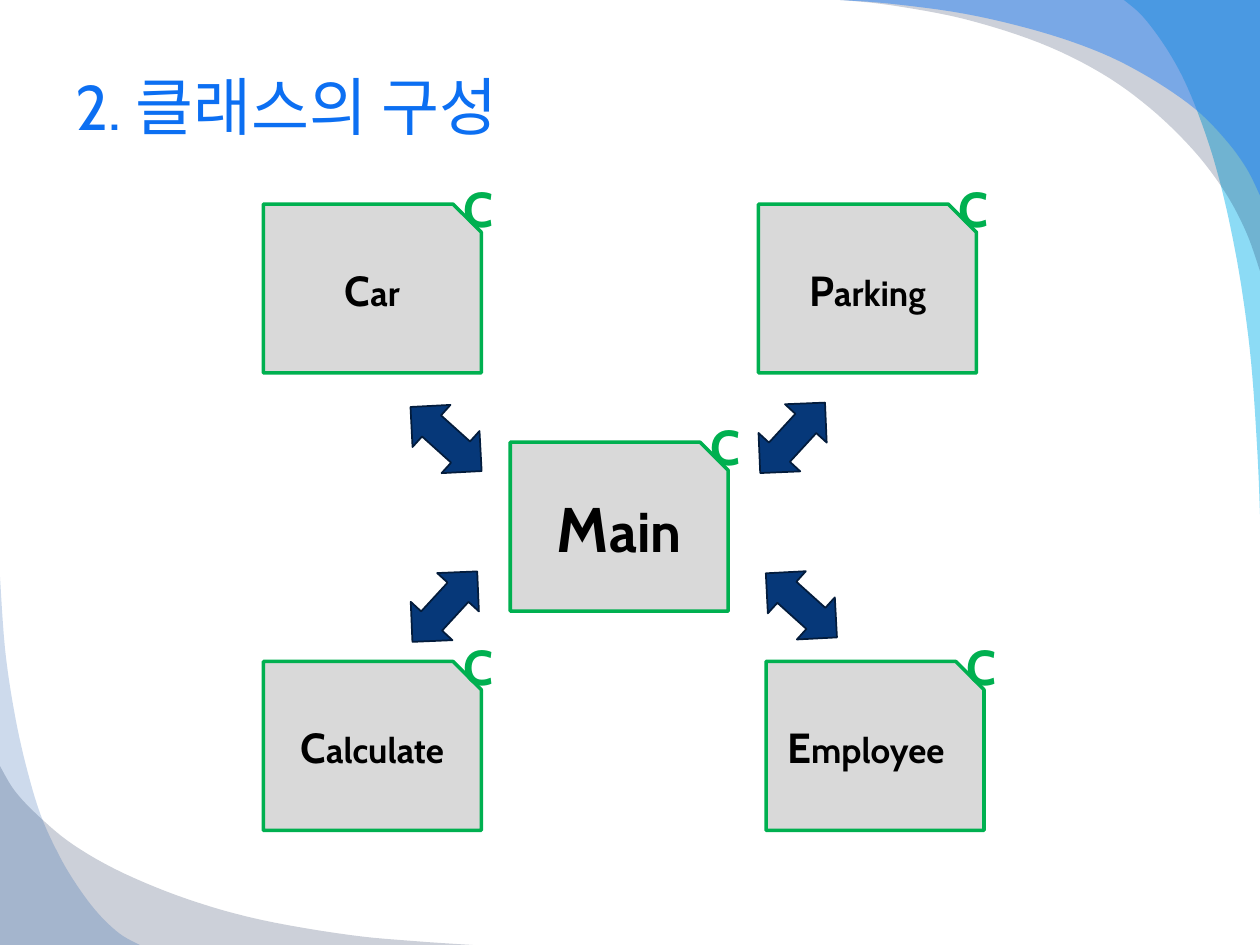
import pptx
import pptx.dml.color
import pptx.enum.shapes
import pptx.enum.text
import pptx.oxml
import pptx.oxml.ns
import pptx.util
from pptx.util import Inches

RGBColor = pptx.dml.color.RGBColor
MSO_SHAPE = pptx.enum.shapes.MSO_SHAPE
PP_ALIGN = pptx.enum.text.PP_ALIGN
MSO_ANCHOR = pptx.enum.text.MSO_ANCHOR

FONT = "Cabin"
TITLE_BLUE = RGBColor(0x0C, 0x6F, 0xF2)
CARD_GRAY = RGBColor(0xD9, 0xD9, 0xD9)
GREEN = RGBColor(0x00, 0xB0, 0x50)
ARROW_BLUE = RGBColor(0x06, 0x38, 0x79)
ARROW_EDGE = RGBColor(0x03, 0x1C, 0x3C)
BLACK = RGBColor(0, 0, 0)
CYAN = RGBColor(0x00, 0xB1, 0xE9)
NAVY = RGBColor(0x02, 0x17, 0x41)
SKY = RGBColor(0x24, 0x7F, 0xF4)
ROYAL = RGBColor(0x08, 0x4A, 0xA1)

CARD_W, CARD_H = 1.73, 1.34
ARROW_W, ARROW_H = 0.76, 0.45

# Swooshes: colour, opacity in percent, slide corner, points along the curved edge
SWOOSHES = [
    (CYAN, 45, (10, 0), [(8.92, 0), (9.04, 0.1), (9.15, 0.23), (9.28, 0.42), (9.4, 0.64),
                         (9.52, 0.93), (9.64, 1.29), (9.75, 1.73), (9.85, 2.26),
                         (9.93, 2.88), (9.98, 3.6), (10, 4.08)]),
    (NAVY, 20, (10, 0), [(10, 2.15), (9.89, 1.84), (9.72, 1.52), (9.47, 1.19), (9.13, 0.86),
                         (8.74, 0.58), (8.25, 0.34), (7.65, 0.15), (7.06, 0.04), (6.67, 0)]),
    (SKY, 49, (10, 0), [(10, 1.55), (9.89, 1.33), (9.72, 1.1), (9.48, 0.86), (9.13, 0.62),
                        (8.74, 0.42), (8.25, 0.25), (7.66, 0.11), (7.07, 0.03), (6.67, 0)]),
    (NAVY, 20, (0, 7.5), [(0, 6.08), (0.12, 6.28), (0.32, 6.49), (0.59, 6.71), (0.98, 6.93),
                          (1.5, 7.14), (2.07, 7.3), (2.77, 7.42), (3.3, 7.47), (3.75, 7.5)]),
    (ROYAL, 20, (0, 7.5), [(1.11, 7.5), (0.95, 7.41), (0.78, 7.25), (0.62, 7.04), (0.47, 6.79),
                           (0.32, 6.46), (0.2, 6.05), (0.11, 5.63), (0.04, 5.15), (0, 4.58)]),
]

# Class cards: name, left, top, size of first letter, size of the rest, alignment
CARDS = [
    ("Employee", 6.08, 5.25, 24, 20, PP_ALIGN.LEFT),
    ("Parking", 6.02, 1.62, 24, 20, PP_ALIGN.CENTER),
    ("Calculate", 2.09, 5.25, 24, 20, PP_ALIGN.CENTER),
    ("Main", 4.05, 3.51, 36, 32, PP_ALIGN.CENTER),
    ("Car", 2.09, 1.62, 24, 20, PP_ALIGN.CENTER),
]

# Arrows: left, top, rotation
ARROWS = [(3.16, 3.26, 42), (5.91, 3.25, 132.6), (3.15, 4.59, 132.6), (5.98, 4.58, 42)]


def smooth_curve(points, steps=6):
    """Catmull-Rom curve through the points."""
    padded = [points[0], *points, points[-1]]
    curve = [points[0]]
    for a, b, c, d in zip(padded, padded[1:], padded[2:], padded[3:]):
        for i in range(1, steps + 1):
            t = i / steps
            curve.append(tuple(
                (2 * q + (r - p) * t + (2 * p - 5 * q + 4 * r - s) * t ** 2
                 + (3 * q - p - 3 * r + s) * t ** 3) / 2
                for p, q, r, s in zip(a, b, c, d)))
    return curve


def add_swoosh(slide, color, opacity, corner, edge):
    outline = [(Inches(x), Inches(y)) for x, y in [corner, *smooth_curve(edge)]]
    builder = slide.shapes.build_freeform(*outline[0])
    builder.add_line_segments(outline[1:], close=True)
    s = builder.convert_to_shape()
    s.shadow.inherit = False
    s.line.fill.background()
    s.fill.solid()
    s.fill.fore_color.rgb = color
    clr = s.fill._xPr.find(".//" + pptx.oxml.ns.qn("a:srgbClr"))
    alpha = pptx.oxml.parse_xml(
        f'<a:alpha {pptx.oxml.ns.nsdecls("a")} val="{opacity * 1000}"/>')
    clr.append(alpha)


def add_run(p, text, size, color, bold=True):
    r = p.add_run()
    r.text = text
    r.font.name = FONT
    r.font.size = pptx.util.Pt(size)
    r.font.bold = bold
    r.font.color.rgb = color


def add_title(slide, left, top, width, height):
    s = slide.shapes.title
    s.left, s.top, s.width, s.height = map(Inches, (left, top, width, height))
    tf = s.text_frame
    tf.vertical_anchor = MSO_ANCHOR.MIDDLE
    p = tf.paragraphs[0]
    p.alignment = PP_ALIGN.LEFT
    add_run(p, "2. 클래스의 구성", 36, TITLE_BLUE, bold=False)


def add_preset(slide, kind, box, fill, edge, weight):
    s = slide.shapes.add_shape(kind, *map(Inches, box))
    s.shadow.inherit = False
    s.fill.solid()
    s.fill.fore_color.rgb = fill
    s.line.color.rgb = edge
    s.line.width = pptx.util.Pt(weight)
    return s


def add_text(slide, box, align):
    tf = slide.shapes.add_textbox(*map(Inches, box)).text_frame
    tf.word_wrap = True
    p = tf.paragraphs[0]
    p.alignment = align
    return p


def add_card(slide, name, left, top, big, small, align):
    card = add_preset(slide, MSO_SHAPE.SNIP_1_RECTANGLE, (left, top, CARD_W, CARD_H),
                      CARD_GRAY, GREEN, 2)
    card.adjustments[0] = 0.167
    # Class name, centred on the card's height
    height = 0.71 if big > 30 else 0.5
    p = add_text(slide, (left + 0.07, top + (CARD_H - height) / 2 + 0.01, 1.59, height), align)
    add_run(p, name[0], big, BLACK)
    add_run(p, name[1:], small, BLACK)
    # Class badge at the snipped corner
    p = add_text(slide, (left + 1.49, top - 0.25, 0.31, 0.57), PP_ALIGN.CENTER)
    add_run(p, "C", 28, GREEN)


def add_arrow(slide, left, top, rotation):
    s = add_preset(slide, MSO_SHAPE.LEFT_RIGHT_ARROW, (left, top, ARROW_W, ARROW_H),
                   ARROW_BLUE, ARROW_EDGE, 1)
    s.rotation = rotation


def main():
    prs = pptx.Presentation()
    prs.slide_width, prs.slide_height = Inches(10), Inches(7.5)
    slide = prs.slides.add_slide(prs.slide_layouts[5])
    for swoosh in SWOOSHES:
        add_swoosh(slide, *swoosh)
    add_title(slide, 0.5, 0.33, 9, 1.01)
    for card in CARDS:
        add_card(slide, *card)
    for arrow in ARROWS:
        add_arrow(slide, *arrow)
    prs.save("out.pptx")


if __name__ == "__main__":
    main()
